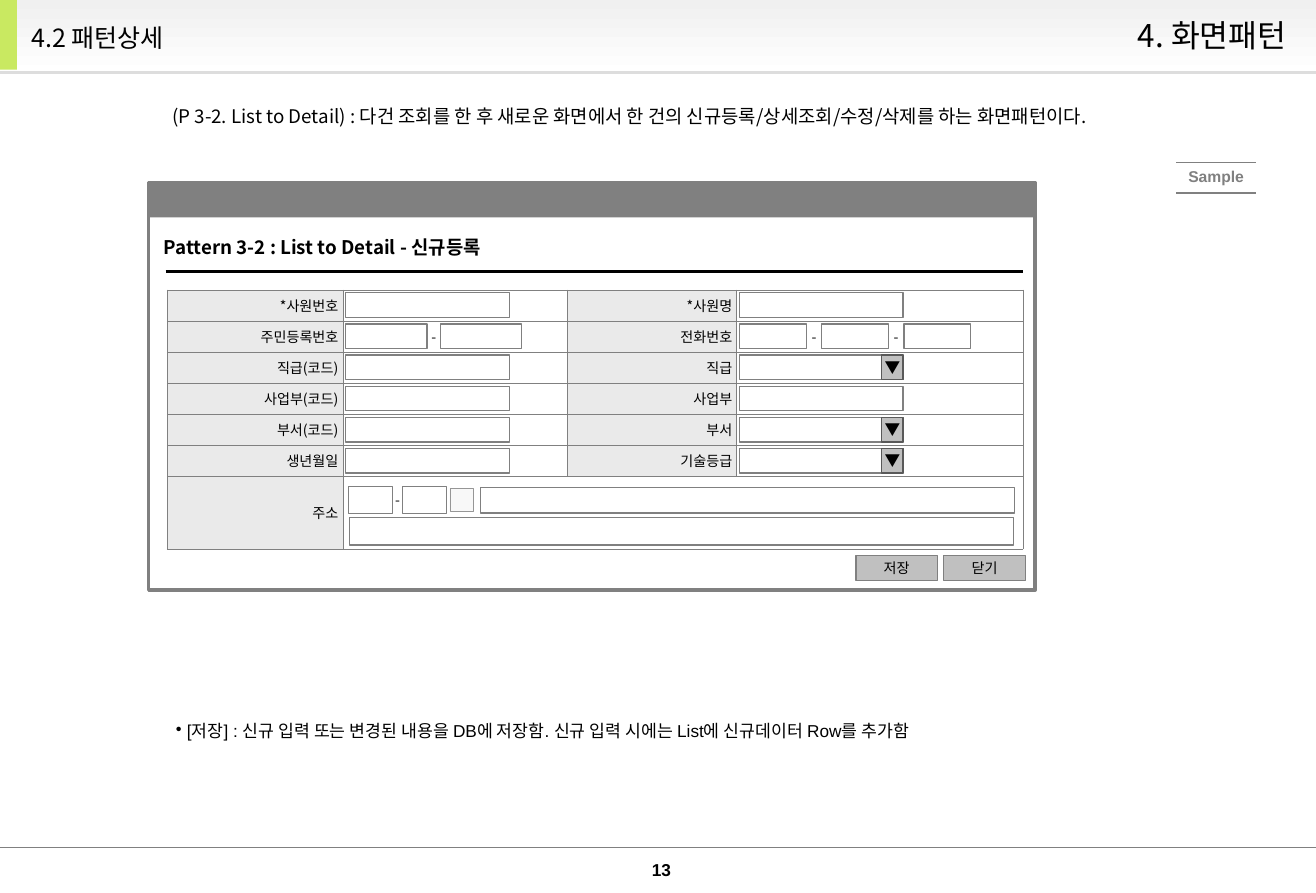
from lxml import etree
from pptx import Presentation
from pptx import util as u
from pptx.dml.color import RGBColor
from pptx.enum import shapes, text
from pptx.oxml.ns import qn

COLORS = {
    "ink": "000000", "paper": "FFFFFF", "gray": "808080", "label": "EAEAEA",
    "button": "C0C0C0", "arrow_edge": "595959", "lookup": "F8F8F8",
    "lookup_edge": "969696", "band": "F0F0F0", "rule": "DDDDDD", "accent": "C9E961",
}
KOREAN = "Noto Sans CJK KR"
LEFT, CENTER, RIGHT = text.PP_ALIGN.LEFT, text.PP_ALIGN.CENTER, text.PP_ALIGN.RIGHT
MIDDLE = text.MSO_ANCHOR.MIDDLE

# Form grid, in centimetres
COLUMNS = [3.96, 5.05, 3.82, 6.45]
ROW, ADDRESS_ROW = 0.7, 1.65
FIELD_WIDTH, FIELD_HEIGHT, FIELD_INSET = 3.68, 0.56, 0.07
LABELS = [("*사원번호", "*사원명"), ("주민등록번호", "전화번호"), ("직급(코드)", "직급"),
          ("사업부(코드)", "사업부"), ("부서(코드)", "부서"), ("생년월일", "기술등급")]
SPLIT_ROW = 1
SPLITS = [(2, 1.83, 2.13), (3, 1.5, 1.85)]  # parts, width, pitch
DROPDOWNS = {"직급", "부서", "기술등급"}


def color(name):
    return RGBColor.from_string(COLORS[name])


def cm(*lengths):
    return [u.Cm(length) for length in lengths]


def write(frame, content, size, align=LEFT, font=KOREAN, bold=False, ink="ink"):
    paragraph = frame.paragraphs[0]
    paragraph.alignment = align
    run = paragraph.add_run()
    run.text = content
    run.font.size, run.font.name, run.font.bold = u.Pt(size), font, bold
    run.font.color.rgb = color(ink)
    east_asian = etree.SubElement(run.font._element, qn("a:ea"))
    east_asian.set("typeface", KOREAN)
    return paragraph


def set_frame(frame, margin=0, wrap=True):
    frame.word_wrap = wrap
    frame.auto_size = text.MSO_AUTO_SIZE.NONE
    frame.vertical_anchor = MIDDLE
    frame.margin_left = frame.margin_right = u.Cm(margin)
    frame.margin_top = frame.margin_bottom = 0


def add_text(slide, box, content, size, margin=0, wrap=True, **style):
    frame = slide.shapes.add_textbox(*cm(*box)).text_frame
    set_frame(frame, margin, wrap)
    return write(frame, content, size, **style)


def add_box(slide, box, fill="paper", line="gray", width=0.75, label=None, size=9):
    shape = slide.shapes.add_shape(shapes.MSO_SHAPE.RECTANGLE, *cm(*box))
    shape.shadow.inherit = False
    shape.fill.solid()
    shape.fill.fore_color.rgb = color(fill)
    if line:
        shape.line.color.rgb = color(line)
        shape.line.width = u.Pt(width)
    else:
        shape.line.fill.background()
    if label:
        set_frame(shape.text_frame, wrap=False)
        write(shape.text_frame, label, size, CENTER)
    return shape


def add_rule(slide, left, right, top, ink, width):
    rule = slide.shapes.add_connector(shapes.MSO_CONNECTOR.STRAIGHT,
                                      *cm(left, top, right, top))
    rule.line.color.rgb = color(ink)
    rule.line.width = u.Pt(width)
    etree.SubElement(rule._element.spPr, qn("a:effectLst"))


def add_table(slide, box, rows, columns):
    table = slide.shapes.add_table(rows, columns, *cm(*box)).table
    table.first_row = table.horz_banding = False
    return table


def set_borders(cell, sides, width):
    properties = cell._tc.get_or_add_tcPr()
    for index, side in enumerate("LRTB"):
        border = etree.Element(qn(f"a:ln{side}"), w=str(u.Pt(width)))
        if side in sides:
            fill = etree.SubElement(border, qn("a:solidFill"))
            etree.SubElement(fill, qn("a:srgbClr"), val=COLORS["gray"])
        else:
            etree.SubElement(border, qn("a:noFill"))
        properties.insert(index, border)


def add_split_field(slide, left, top, parts, width, pitch, height=FIELD_HEIGHT):
    for part in range(parts):
        x = left + part * pitch
        add_box(slide, (x, top, width, height))
        if part:
            gap = pitch - width
            add_text(slide, (x - gap, top, gap, height), "-", 9, wrap=False, align=CENTER)


def add_header(slide, box):
    left, top, width, height = box
    band = add_box(slide, box, line=None)
    band.fill.gradient()
    band.fill.gradient_angle = 270
    for stop, name in zip(band.fill.gradient_stops, ("band", "paper")):
        stop.color.rgb = color(name)
    add_rule(slide, left, left + width, top + 1.63, "rule", 1.5)
    add_box(slide, (left, top, 0.38, 1.57), "accent", None)
    # The title stands in front of the band
    title = slide.shapes.title
    slide.shapes._spTree.append(title._element)
    title.left, title.top, title.width, title.height = cm(left + 0.43, top + 0.28, 8.15, 1.14)
    set_frame(title.text_frame, 0.28)
    write(title.text_frame, "4.2 패턴상세", 16)
    add_text(slide, (left + 14.83, top, 14.43, 1.57), "4. 화면패턴", 20, 0.28, align=RIGHT)


def add_form(slide, left, top):
    height = len(LABELS) * ROW + ADDRESS_ROW
    table = add_table(slide, (left, top, sum(COLUMNS), height), len(LABELS) + 1, len(COLUMNS))
    for column, width in zip(table.columns, COLUMNS):
        column.width = u.Cm(width)
    for row in table.rows:
        row.height = u.Cm(ROW)
    table.rows[len(LABELS)].height = u.Cm(ADDRESS_ROW)

    # Labels and cells
    captions = [(first, "", second, "") for first, second in LABELS] + [("주소", "", "", "")]
    for row, values in enumerate(captions):
        for column, caption in enumerate(values):
            cell = table.cell(row, column)
            cell.vertical_anchor = MIDDLE
            cell.margin_left = cell.margin_right = u.Cm(0.1)
            cell.margin_top = cell.margin_bottom = 0
            cell.fill.solid()
            cell.fill.fore_color.rgb = color("label" if caption else "paper")
            set_borders(cell, "LRTB", 0.25)
            if caption:
                write(cell.text_frame, caption, 9, RIGHT)
            else:
                etree.SubElement(cell.text_frame.paragraphs[0]._p,
                                 qn("a:endParaRPr"), sz="900")
    table.cell(len(LABELS), 1).merge(table.cell(len(LABELS), 3))

    # Input fields
    for row, pair in enumerate(LABELS):
        y = top + row * ROW + FIELD_INSET
        for side, caption in enumerate(pair):
            x = left + sum(COLUMNS[:2 * side + 1]) + FIELD_INSET
            if row == SPLIT_ROW:
                add_split_field(slide, x, y, *SPLITS[side])
                continue
            add_box(slide, (x, y, FIELD_WIDTH, FIELD_HEIGHT))
            if caption in DROPDOWNS:
                add_box(slide, (x + FIELD_WIDTH - 0.48, y, 0.48, FIELD_HEIGHT),
                        "button", "arrow_edge", label="▼", size=10)

    # Address fields
    x, y = left + COLUMNS[0], top + len(LABELS) * ROW
    add_split_field(slide, x + 0.13, y + 0.23, 2, 0.99, 1.22, 0.61)
    add_box(slide, (x + 2.41, y + 0.28, 0.53, 0.51), "lookup", "lookup_edge", 0.25)
    add_box(slide, (x + 3.1, y + 0.25, 12.04, 0.58))
    add_box(slide, (x + 0.15, y + 0.94, 14.96, 0.61))


def add_window(slide, box):
    left, top, width, height = box
    add_box(slide, box, width=2.25)
    add_box(slide, (left + 0.03, top + 0.03, width - 0.06, 0.76), "gray", None)
    add_text(slide, (left + 0.21, top + 1.05, 12, 0.79),
             "Pattern 3-2 : List to Detail - 신규등록", 12, 0.13, bold=True)
    add_rule(slide, left + 0.38, left + 19.69, top + 2.01, "ink", 1.5)
    add_form(slide, left + 0.41, top + 2.42)
    for index, label in enumerate(("저장", "닫기")):
        add_box(slide, (left + 15.93 + index * 1.98, top + 8.41, 1.83, 0.56),
                "button", label=label)


def add_sample_tag(slide, box):
    cell = add_table(slide, box, 1, 1).cell(0, 0)
    cell.margin_left = cell.margin_right = 0
    cell.fill.background()
    set_borders(cell, "TB", 1)
    write(cell.text_frame, "Sample", 10, CENTER, "Arial", True, "gray")


def add_note(slide, box):
    paragraph = add_text(
        slide, box, "[저장] : 신규 입력 또는 변경된 내용을 DB에 저장함. "
        "신규 입력 시에는 List에 신규데이터 Row를 추가함", 11, font="Arial")
    properties = paragraph._p.get_or_add_pPr()
    properties.set("marL", str(u.Cm(0.25)))
    properties.set("indent", str(-u.Cm(0.25)))
    etree.SubElement(properties, qn("a:buChar"), char="•")


def add_footer(slide, left, top, width):
    add_rule(slide, left, left + width, top, "gray", 0.75)
    add_text(slide, (left + 14.66, top + 0.28, 0.48, 0.43), "13", 11,
             wrap=False, align=CENTER, font="Arial", bold=True)


def main():
    presentation = Presentation()
    presentation.slide_width, presentation.slide_height = cm(29.64, 20.12)
    slide = presentation.slides.add_slide(presentation.slide_layouts[5])
    add_header(slide, (0, 0, 29.64, 1.68))
    add_text(slide, (3.63, 2.24, 24.03, 0.76),
             "(P 3-2. List to Detail) : 다건 조회를 한 후 새로운 화면에서 한 건의 "
             "신규등록/상세조회/수정/삭제를 하는 화면패턴이다.", 12, 0.25)
    add_window(slide, (3.35, 4.11, 19.96, 9.19))
    add_sample_tag(slide, (26.49, 3.66, 1.8, 0.69))
    add_note(slide, (3.96, 16.23, 19.91, 0.48))
    add_footer(slide, 0, 19.1, 29.64)
    presentation.save("out.pptx")


if __name__ == "__main__":
    main()
